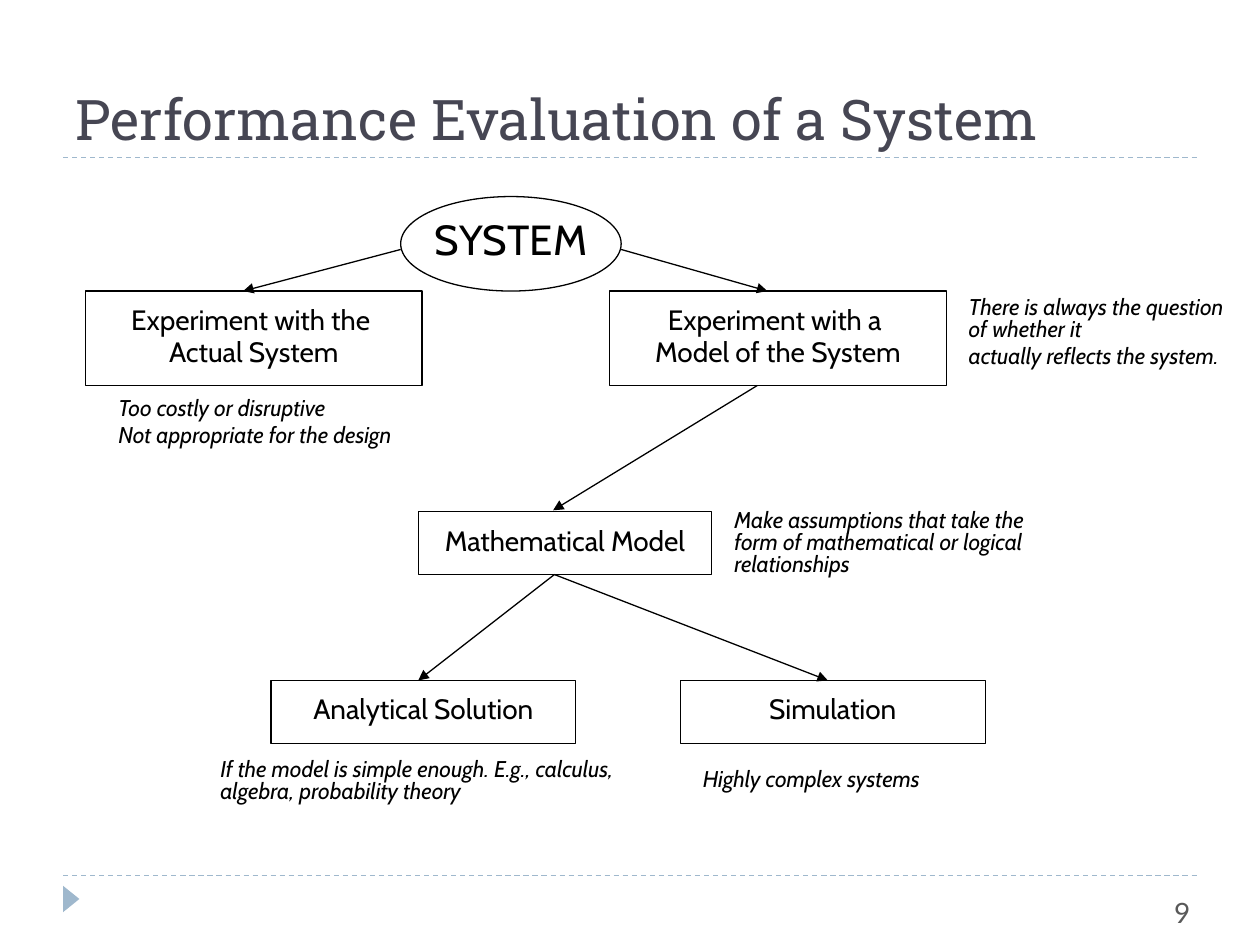
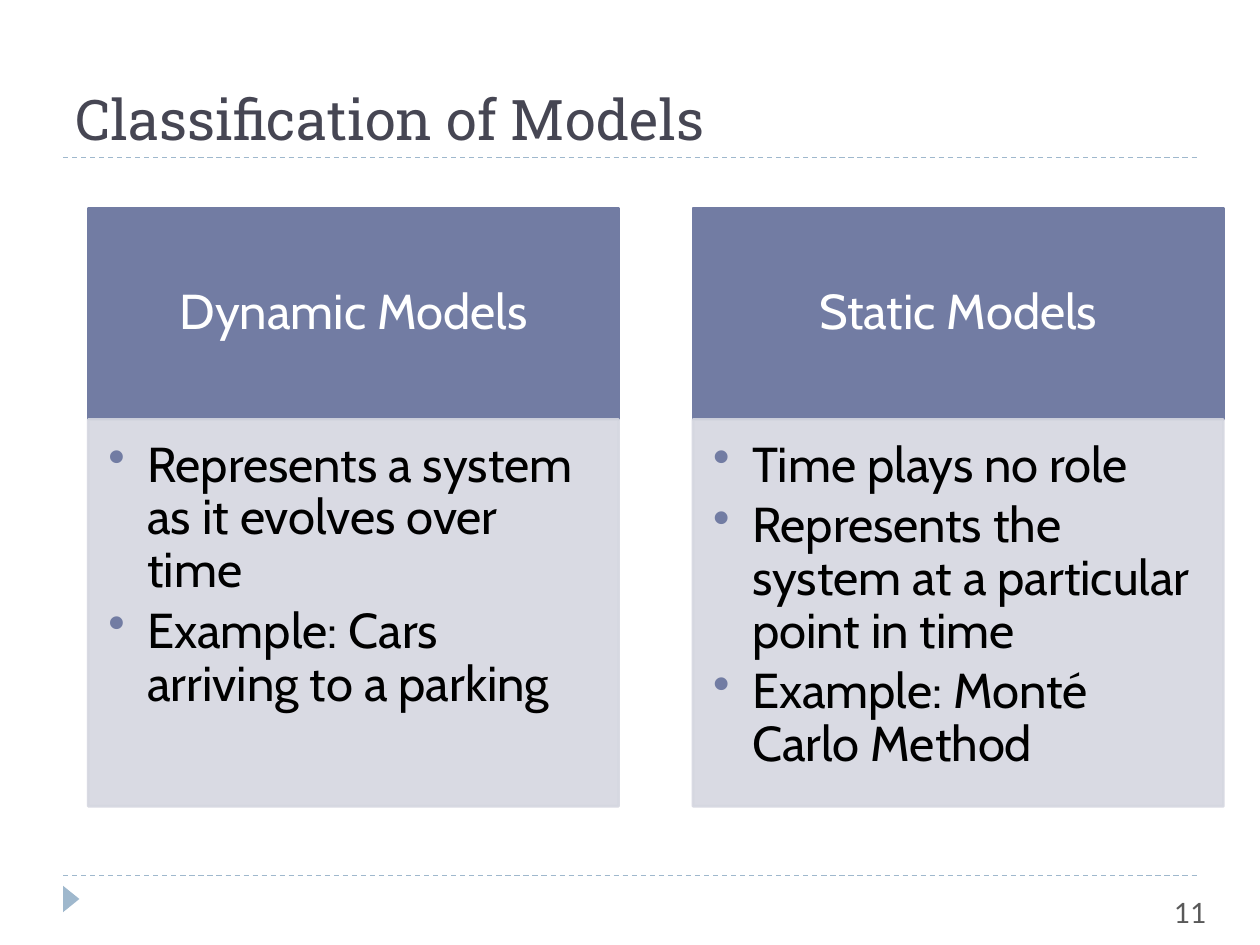
from lxml import etree
from pptx import Presentation
from pptx.dml.color import RGBColor
from pptx.enum.dml import MSO_LINE
from pptx.enum.shapes import MSO_CONNECTOR, MSO_SHAPE
from pptx.enum.text import MSO_ANCHOR, PP_ALIGN
from pptx.oxml.ns import qn
from pptx.util import Pt

PX = 9144  # 100 px to the inch
RECT, OVAL = MSO_SHAPE.RECTANGLE, MSO_SHAPE.OVAL
TRIANGLE = MSO_SHAPE.ISOSCELES_TRIANGLE
STRAIGHT, DASH = MSO_CONNECTOR.STRAIGHT, MSO_LINE.DASH
TOP, MIDDLE, BOTTOM = MSO_ANCHOR.TOP, MSO_ANCHOR.MIDDLE, MSO_ANCHOR.BOTTOM
LEFT, CENTER = PP_ALIGN.LEFT, PP_ALIGN.CENTER

BLACK = RGBColor(0x00, 0x00, 0x00)
WHITE = RGBColor(0xFF, 0xFF, 0xFF)
SLATE = RGBColor(0x46, 0x46, 0x53)
GRAY = RGBColor(0x59, 0x59, 0x59)
SKY = RGBColor(0x9F, 0xB8, 0xCD)
INDIGO = RGBColor(0x72, 0x7C, 0xA3)
MIST = RGBColor(0xD5, 0xD7, 0xE0)
BODY, HEAD, DIGIT = "Cabin", "Roboto Slab", "Lato"


def put(slide, kind, at, lines=(), size=16, font=BODY, color=BLACK, fill=None,
        edge=None, width=0.75, anchor=TOP, align=LEFT, wrap=True, inset=None,
        space=0.8, before=0.2, after=0, bullet=False):
    """Add a shape, or a text box when kind is None, with its text."""
    box = [v * PX for v in at]
    if kind is None:
        shape = slide.shapes.add_textbox(*box)
    else:
        shape = slide.shapes.add_shape(kind, *box)
        shape.shadow.inherit = False
        shape.fill.solid()
        shape.fill.fore_color.rgb = fill
        if edge is None:
            shape.line.fill.background()
        else:
            shape.line.color.rgb = edge
            shape.line.width = Pt(width)
    frame = shape.text_frame
    frame.word_wrap = wrap
    frame.vertical_anchor = anchor
    if inset:
        (frame.margin_left, frame.margin_top,
         frame.margin_right, frame.margin_bottom) = [v * PX for v in inset]
    for i, line in enumerate(lines):
        para = frame.paragraphs[0] if i == 0 else frame.add_paragraph()
        para.text = line
        para.alignment = align
        if bullet:
            props = para._p.get_or_add_pPr()
            props.set("marL", str(31 * PX))
            props.set("indent", str(-31 * PX))
            tint = etree.SubElement(props, qn("a:buClr"))
            etree.SubElement(tint, qn("a:srgbClr"), val=str(INDIGO))
            etree.SubElement(props, qn("a:buChar"), char="•")
        para.line_spacing = space
        para.space_before = Pt(size * before)
        para.space_after = Pt(size * after)
        para.font.name = font
        para.font.size = Pt(size)
        para.font.color.rgb = color
    return shape


def link(slide, ends, color, arrow=False):
    """Draw a dashed rule or a solid arrow."""
    line = slide.shapes.add_connector(STRAIGHT, *[v * PX for v in ends])
    line.line.color.rgb = color
    line.line.width = Pt(0.75)
    if arrow:
        etree.SubElement(line.line._get_or_add_ln(), qn("a:tailEnd"),
                         type="triangle")
    else:
        line.line.dash_style = DASH
    etree.SubElement(line._element.spPr, qn("a:effectLst"))


deck = Presentation()
deck.slide_width, deck.slide_height = 1000 * PX, 750 * PX

# Shared frame: rules, marker, page number, title
pages = []
for title, page in (("Performance Evaluation of a System", "9"),
                    ("Classification of Models", "11")):
    slide = deck.slides.add_slide(deck.slide_layouts[6])
    for y in (695, 125):
        link(slide, (50, y, 950, y), SKY)
    mark = put(slide, TRIANGLE, (46, 707, 21, 13), fill=SKY)
    mark.rotation = 90
    put(slide, None, (922, 711, 54, 32), [page], font=DIGIT, color=GRAY)
    put(slide, None, (50, 17, 900, 108), [title], 32, HEAD, SLATE,
        anchor=BOTTOM, space=1.0, before=0)
    pages.append(slide)
tree, models = pages

# Tree nodes
nodes = [
    (OVAL, (318, 156, 175, 75), ["SYSTEM"], 24),
    (RECT, (68, 231, 267, 75), ["Experiment with the ", "Actual System"], 16),
    (RECT, (484, 231, 267, 75),
     ["Experiment with a ", "Model of the System"], 16),
    (RECT, (332, 406, 233, 50), ["Mathematical Model"], 16),
    (RECT, (215, 540, 242, 50), ["Analytical Solution"], 16),
    (RECT, (540, 540, 242, 50), ["Simulation"], 16),
]
for kind, at, lines, size in nodes:
    put(tree, kind, at, lines, size, fill=WHITE, edge=BLACK,
        anchor=MIDDLE, align=CENTER, wrap=False)

# Remarks beside the nodes
notes = [
    ((84, 312, 258, 49),
     ["Too costly or disruptive", "Not appropriate for the design"]),
    ((759, 232, 233, 67),
     ["There is always the question of whether it",
      "actually reflects the system."]),
    ((573, 401, 275, 63),
     ["Make assumptions that take the form of mathematical or logical "
      "relationships"]),
    ((165, 598, 342, 45),
     ["If the model is simple enough. E.g., calculus, algebra, "
      "probability theory"]),
    ((548, 606, 233, 28), ["Highly complex systems"]),
]
for at, lines in notes:
    note = put(tree, None, at, lines, 13)
    for para in note.text_frame.paragraphs:
        para.font.italic = True

# Arrows from parent to child
for ends in ((493, 198, 609, 231), (318, 198, 193, 231),
             (601, 306, 439, 405), (440, 456, 332, 540),
             (440, 456, 657, 540)):
    link(tree, ends, BLACK, arrow=True)

# Two model columns
columns = [
    ("Dynamic Models",
     ["Represents a system as it evolves over time",
      "Example: Cars arriving to a parking"]),
    ("Static Models",
     ["Time plays no role",
      "Represents the system at a particular point in time",
      "Example: Monté Carlo Method"]),
]
for i, (name, points) in enumerate(columns):
    x = 70 + 480 * i
    put(models, RECT, (x, 165, 421, 168), [name], 28, color=WHITE,
        fill=INDIGO, edge=INDIGO, width=1.5, anchor=MIDDLE, align=CENTER,
        inset=(22, 12, 22, 12), space=0.9, before=0, after=0.35)
    panel = put(models, RECT, (x, 333, 421, 307), points, 28, fill=MIST,
                edge=MIST, width=1.5, inset=(16, 16, 22, 24), space=0.9,
                before=0, after=0.15, bullet=True)
    for tone in panel._element.spPr.iter(qn("a:srgbClr")):
        etree.SubElement(tone, qn("a:alpha"), val="90000")

deck.save("out.pptx")
